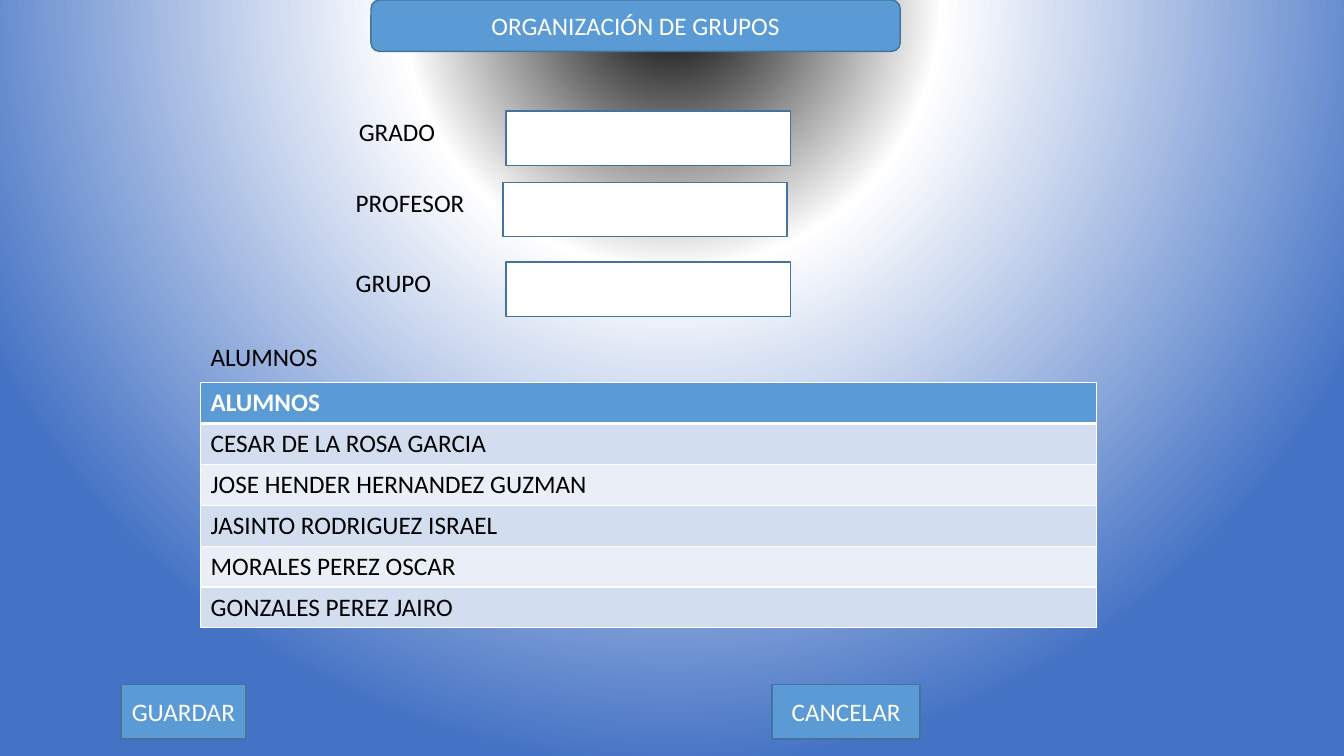
from dataclasses import dataclass

from pptx import Presentation
from pptx.dml.color import RGBColor
from pptx.enum.shapes import MSO_SHAPE
from pptx.enum.text import MSO_ANCHOR, PP_ALIGN
from pptx.oxml import parse_xml
from pptx.oxml.ns import nsdecls
from pptx.util import Inches, Pt

COLUMNS, ROWS = 96, 54


@dataclass(frozen=True)
class Theme:
    font: str = "Calibri"
    size: int = 18
    accent: str = "5B9BD5"
    outline: str = "43739E"
    dark: str = "000000"
    light: str = "FFFFFF"
    bands: tuple = ("D2DEEF", "EAEFF7")
    glow: tuple = ((0, "000000"), (35, "FFFFFF"), (100, "4472C4"))


class FormPage:
    """Holds the theme and the current slide; lengths are grid columns and rows."""

    def __init__(self, deck, theme):
        self.theme = theme
        self.page = deck.slides.add_slide(deck.slide_layouts[6])
        self.column = deck.slide_width / COLUMNS
        self.row = deck.slide_height / ROWS

    def place(self, left, top, width, height):
        return (round(left * self.column), round(top * self.row),
                round(width * self.column), round(height * self.row))

    def set_text(self, frame, text, color, bold=False, align=PP_ALIGN.LEFT):
        frame.text = text
        para = frame.paragraphs[0]
        para.alignment = align
        for span in para.runs:
            span.font.name = self.theme.font
            span.font.size = Pt(self.theme.size)
            span.font.bold = bold
            span.font.color.rgb = RGBColor.from_string(color)

    def background(self):
        stops = "".join(
            f'<a:gs pos="{share * 1000}"><a:srgbClr val="{color}"/></a:gs>'
            for share, color in self.theme.glow)
        self.page.element.cSld.insert(0, parse_xml(
            f'<p:bg {nsdecls("p", "a")}><p:bgPr><a:gradFill rotWithShape="1">'
            f'<a:gsLst>{stops}</a:gsLst><a:path path="circle">'
            '<a:fillToRect l="50000" t="-80000" r="50000" b="180000"/></a:path>'
            '</a:gradFill><a:effectLst/></p:bgPr></p:bg>'))

    def box(self, area, fill, text="", kind=MSO_SHAPE.RECTANGLE):
        shape = self.page.shapes.add_shape(kind, *self.place(*area))
        shape.shadow.inherit = False
        shape.fill.solid()
        shape.fill.fore_color.rgb = RGBColor.from_string(fill)
        shape.line.color.rgb = RGBColor.from_string(self.theme.outline)
        shape.line.width = Pt(1)
        if text:
            shape.text_frame.vertical_anchor = MSO_ANCHOR.MIDDLE
            self.set_text(shape.text_frame, text, self.theme.light,
                          align=PP_ALIGN.CENTER)

    def label(self, left, top, text):
        box = self.page.shapes.add_textbox(*self.place(left, top, 18.29, 2.91))
        box.text_frame.word_wrap = True
        self.set_text(box.text_frame, text, self.theme.dark)

    def border(self, cell, bottom):
        properties = cell._tc.get_or_add_tcPr()
        for index, side in enumerate(("lnL", "lnR", "lnT", "lnB")):
            width = Pt(bottom if side == "lnB" else 1)
            properties.insert(index, parse_xml(
                f'<a:{side} {nsdecls("a")} w="{width}"><a:solidFill>'
                f'<a:srgbClr val="{self.theme.light}"/></a:solidFill></a:{side}>'))

    def table(self, area, entries):
        frame = self.page.shapes.add_table(len(entries), 1, *self.place(*area))
        for index, text in enumerate(entries):
            header = index == 0
            cell = frame.table.cell(index, 0)
            fill = self.theme.accent if header else self.theme.bands[(index - 1) % 2]
            color = self.theme.light if header else self.theme.dark
            cell.fill.solid()
            cell.fill.fore_color.rgb = RGBColor.from_string(fill)
            self.set_text(cell.text_frame, text, color, bold=header)
            self.border(cell, bottom=3 if header else 1)


deck = Presentation()
deck.slide_width, deck.slide_height = Inches(13.33), Inches(7.5)
theme = Theme()
form = FormPage(deck, theme)
form.background()

# Title
form.box((26.5, 0, 37.8, 3.67), theme.accent, "ORGANIZACIÓN DE GRUPOS",
         MSO_SHAPE.ROUNDED_RECTANGLE)

# Fields with their labels
FIELDS = (("GRADO", 24.92, 36.15, 7.92),
          ("PROFESOR", 24.7, 35.93, 13.03),
          ("GRUPO", 24.7, 36.15, 18.72))
for name, label_left, field_left, top in FIELDS:
    form.box((field_left, top, 20.3, 3.89), theme.light)
    form.label(label_left, top, name)

# Student list
STUDENTS = ("CESAR DE LA ROSA GARCIA", "JOSE HENDER HERNANDEZ GUZMAN",
            "JASINTO RODRIGUEZ ISRAEL", "MORALES PEREZ OSCAR",
            "GONZALES PEREZ JAIRO")
form.label(14.33, 24.05, "ALUMNOS")
form.table((14.33, 27.33, 64, 17.52), ("ALUMNOS", *STUDENTS))

# Buttons
for name, left, width in (("GUARDAR", 8.64, 8.93), ("CANCELAR", 55.15, 10.58)):
    form.box((left, 48.89, width, 3.89), theme.accent, name)

deck.save("out.pptx")
